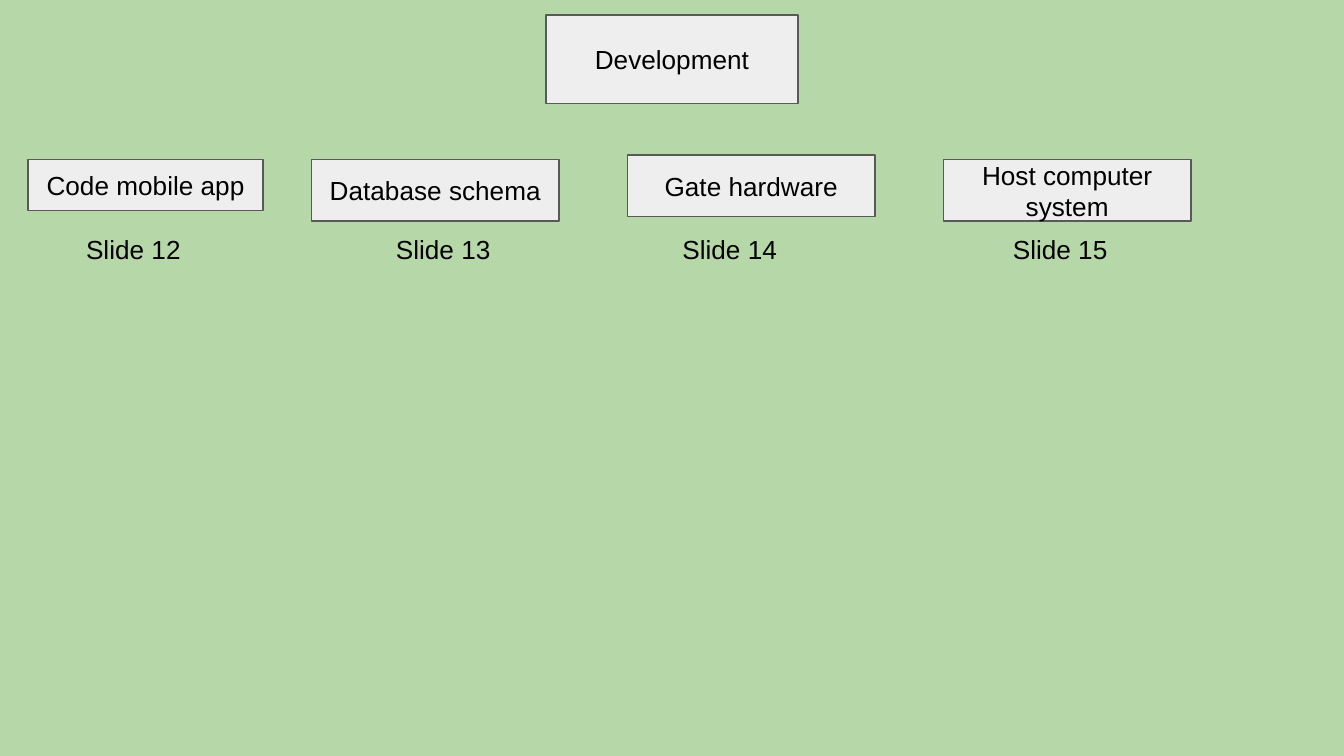
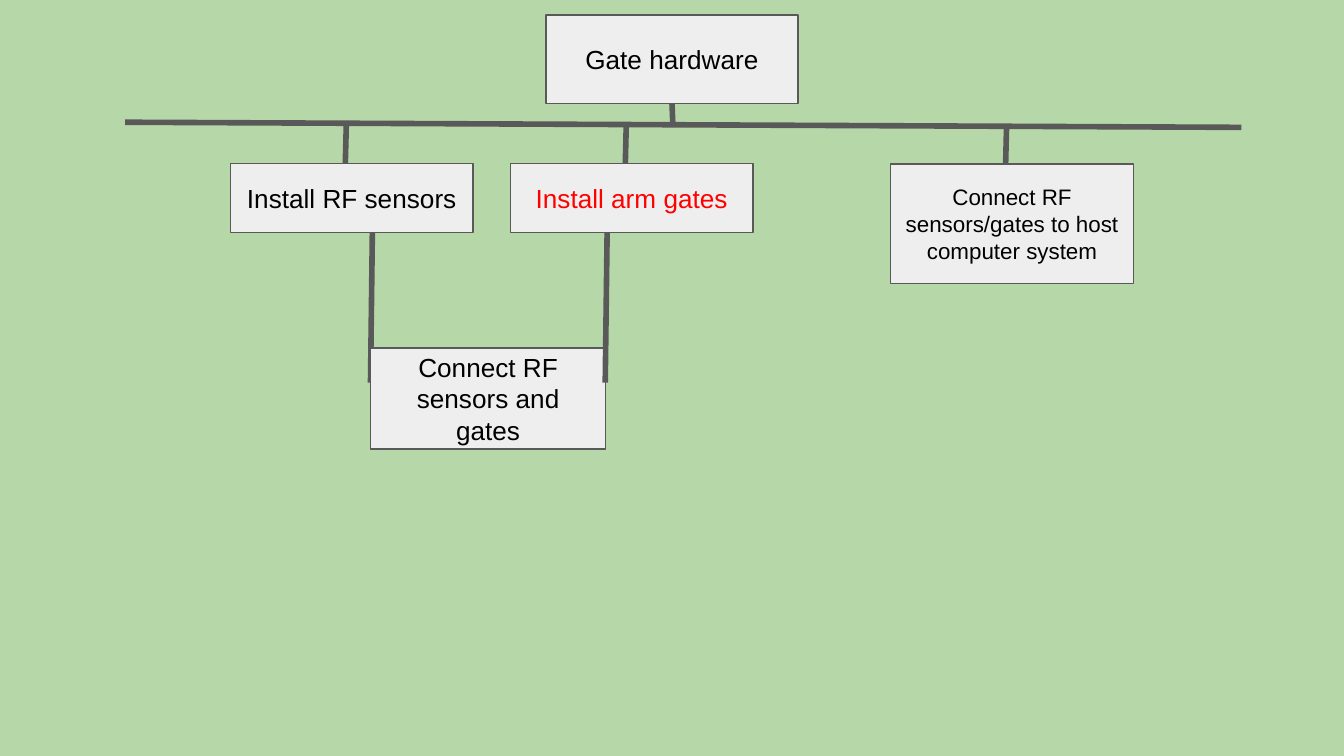
from lxml import etree
from pptx import Presentation
from pptx.dml.color import RGBColor
from pptx.enum import shapes, text
from pptx.oxml.ns import qn
from pptx.util import Pt

GREEN = RGBColor(0xB6, 0xD7, 0xA8)
LIGHT = RGBColor(0xEE, 0xEE, 0xEE)
GREY = RGBColor(0x59, 0x59, 0x59)
BLACK = RGBColor(0, 0, 0)
RED = RGBColor(0xFF, 0, 0)
FONT = "Arial"
INSET = Pt(7.2)


def put_text(sp, words, size=14, color=BLACK, align=text.PP_ALIGN.CENTER,
             anchor=text.MSO_ANCHOR.MIDDLE):
    tf = sp.text_frame
    tf.word_wrap = True
    tf.auto_size = text.MSO_AUTO_SIZE.NONE
    tf.vertical_anchor = anchor
    tf.margin_left = tf.margin_right = tf.margin_top = tf.margin_bottom = INSET
    p = tf.paragraphs[0]
    p.alignment = align
    r = p.add_run()
    r.text = words
    r.font.name = FONT
    r.font.size = Pt(size)
    r.font.color.rgb = color


def style_box(sp):
    sp.fill.solid()
    sp.fill.fore_color.rgb = LIGHT
    sp.line.color.rgb = GREY
    sp.line.width = Pt(0.75)


def add_slide(prs, title):
    """Green slide whose title is the top box of the chart."""
    s = prs.slides.add_slide(prs.slide_layouts[5])
    s.background.fill.solid()
    s.background.fill.fore_color.rgb = GREEN
    sp = s.shapes.title
    sp.left, sp.top, sp.width, sp.height = Pt(292.5), Pt(8), Pt(135), Pt(47.5)
    style_box(sp)
    put_text(sp, title)
    return s


def add_box(s, words, x, y, w, h, **style):
    sp = s.shapes.add_shape(shapes.MSO_SHAPE.RECTANGLE,
                            Pt(x), Pt(y), Pt(w), Pt(h))
    sp.shadow.inherit = False
    style_box(sp)
    put_text(sp, words, **style)


def add_label(s, words, x, y):
    sp = s.shapes.add_textbox(Pt(x), Pt(y), Pt(87), Pt(27.5))
    put_text(sp, words, align=text.PP_ALIGN.LEFT, anchor=text.MSO_ANCHOR.TOP)


def add_line(s, x1, y1, x2, y2):
    c = s.shapes.add_connector(shapes.MSO_CONNECTOR.STRAIGHT,
                               Pt(x1), Pt(y1), Pt(x2), Pt(y2))
    c.line.color.rgb = GREY
    c.line.width = Pt(3)
    etree.SubElement(c._element.spPr, qn("a:effectLst"))


def build_development(prs):
    s = add_slide(prs, "Development")

    # Work areas
    add_box(s, "Code mobile app", 15, 85.5, 126, 27.5)
    areas = [("Database schema", 85.5), ("Gate hardware", 83),
             ("Host computer system", 85.5)]
    for i, (area, y) in enumerate(areas):
        add_box(s, area, 167 + 169.25 * i, y, 132.5, 33)

    # Slide references
    for number, x in enumerate((39, 205, 358.5, 535.5), start=12):
        add_label(s, f"Slide {number}", x, 118)


def build_gate_hardware(prs):
    s = add_slide(prs, "Gate hardware")

    # Trunk and bus line
    add_line(s, 199.5, 124.5, 198.5, 205)
    add_line(s, 360.5, 67.5, 360, 55.5)
    add_line(s, 67, 65.5, 665, 68.25)

    # Tasks, each hanging from the bus line
    tasks = [("Install RF sensors", 123.5, 87.5, 37, {}),
             ("Install arm gates", 273.5, 87.5, 37, {"color": RED}),
             ("Connect RF sensors/gates to host computer system",
              477.25, 88, 64, {"size": 12})]
    for task, x, y, h, style in tasks:
        add_box(s, task, x, y, 130, h, **style)
        add_line(s, x + 62, 67.5, x + 61.5, y)

    # Joint follow-up task
    add_box(s, "Connect RF sensors and gates", 198.5, 186.5, 126, 54)
    add_line(s, 325.25, 124.5, 324.25, 205)


def main():
    prs = Presentation()
    prs.slide_width, prs.slide_height = Pt(720), Pt(405)
    build_development(prs)
    build_gate_hardware(prs)
    prs.save("out.pptx")


if __name__ == "__main__":
    main()
